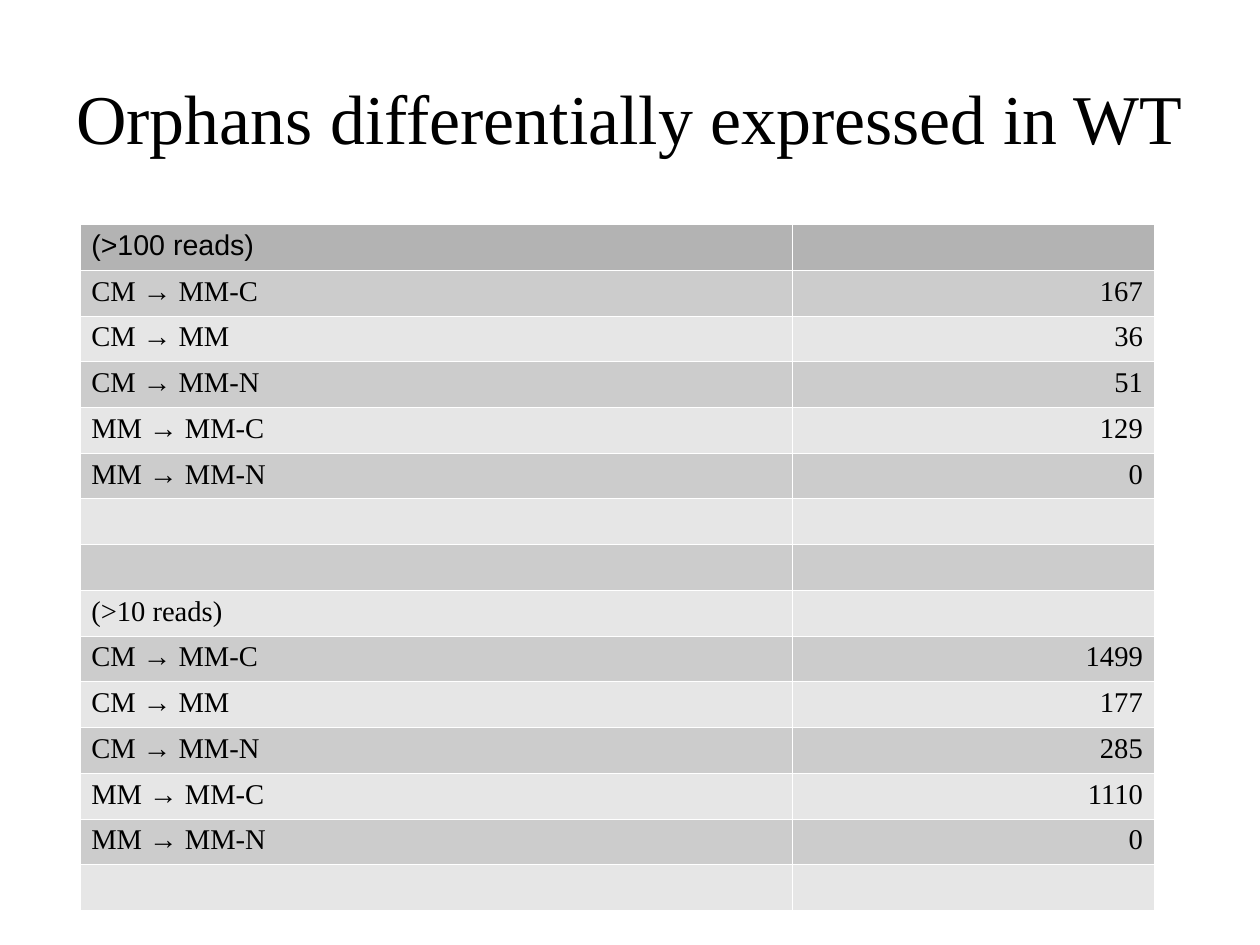
"""Build the slide on orphans differentially expressed in WT."""
from dataclasses import dataclass

from lxml.etree import SubElement
from pptx import Presentation
from pptx.dml.color import RGBColor
from pptx.enum.text import MSO_ANCHOR, MSO_AUTO_SIZE, PP_ALIGN
from pptx.oxml.ns import qn
from pptx.util import Pt

EMU_PER_PX = 3000


@dataclass(frozen=True)
class Theme:
    text: str = "000000"
    border: str = "FFFFFF"
    header: str = "B3B3B3"
    bands: tuple = ("E6E6E6", "CCCCCC")
    serif: str = "Times New Roman"
    sans: str = "Arial"
    title_size: int = 44
    table_size: int = 18
    border_width: float = 0.06


def px(value):
    return value * EMU_PER_PX


class SlideBuilder:
    def __init__(self, slide, theme):
        self.slide = slide
        self.theme = theme

    def style(self, paragraph, font_name, size, alignment):
        paragraph.alignment = alignment
        paragraph.font.name = font_name
        paragraph.font.size = Pt(size)
        paragraph.font.color.rgb = RGBColor.from_string(self.theme.text)

    def title(self, text, left, top, width, height):
        shape = self.slide.shapes.title
        shape.left, shape.top = px(left), px(top)
        shape.width, shape.height = px(width), px(height)
        frame = shape.text_frame
        frame.text = text
        frame.word_wrap = True
        frame.auto_size = MSO_AUTO_SIZE.NONE
        frame.vertical_anchor = MSO_ANCHOR.MIDDLE
        frame.margin_left = frame.margin_right = 0
        frame.margin_top = frame.margin_bottom = 0
        self.style(frame.paragraphs[0], self.theme.serif, self.theme.title_size, PP_ALIGN.CENTER)

    def borders(self, cell):
        properties = cell._tc.get_or_add_tcPr()
        for side in ("a:lnL", "a:lnR", "a:lnT", "a:lnB"):
            line = SubElement(properties, qn(side), w=str(Pt(self.theme.border_width)))
            fill = SubElement(line, qn("a:solidFill"))
            SubElement(fill, qn("a:srgbClr"), val=self.theme.border)

    def table(self, rows, left, top, column_widths, row_height):
        theme = self.theme
        table = self.slide.shapes.add_table(
            len(rows), len(column_widths), px(left), px(top),
            px(sum(column_widths)), px(row_height * len(rows))).table
        table.first_row = table.horz_banding = False
        for column, width in zip(table.columns, column_widths):
            column.width = px(width)
        for row_index, values in enumerate(rows):
            is_header = row_index == 0
            color = theme.header if is_header else theme.bands[row_index % 2]
            font_name = theme.sans if is_header else theme.serif
            for column_index, value in enumerate(values):
                cell = table.cell(row_index, column_index)
                self.borders(cell)
                cell.fill.solid()
                cell.fill.fore_color.rgb = RGBColor.from_string(color)
                cell.text = value
                alignment = PP_ALIGN.RIGHT if column_index else PP_ALIGN.LEFT
                self.style(cell.text_frame.paragraphs[0], font_name, theme.table_size, alignment)


def read_rows(heading, counts):
    transitions = ("CM → MM-C", "CM → MM", "CM → MM-N", "MM → MM-C", "MM → MM-N")
    return [(heading, "")] + [(name, str(count)) for name, count in zip(transitions, counts)]


def main():
    presentation = Presentation()
    presentation.slide_width, presentation.slide_height = px(3360), px(2520)
    slide = presentation.slides.add_slide(presentation.slide_layouts[5])
    builder = SlideBuilder(slide, Theme())
    builder.title("Orphans differentially expressed in WT", 168, 100, 3024, 421)
    empty_row = ("", "")
    rows = (read_rows("(>100 reads)", (167, 36, 51, 129, 0)) + [empty_row] * 2
            + read_rows("(>10 reads)", (1499, 177, 285, 1110, 0)) + [empty_row])
    builder.table(rows, left=213, top=598, column_widths=(1899, 966), row_height=122)
    presentation.save("out.pptx")


if __name__ == "__main__":
    main()
